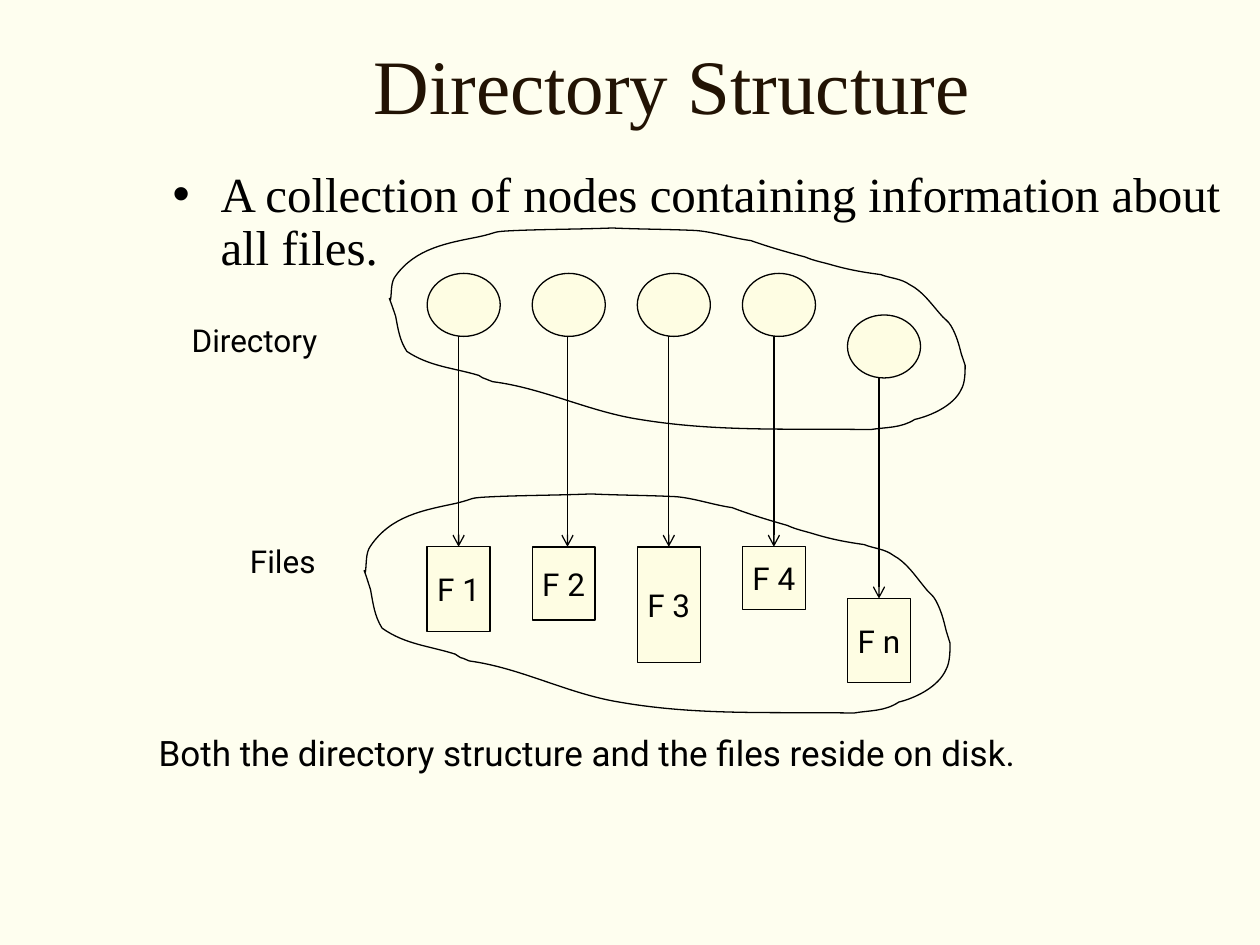
from lxml.etree import SubElement
from pptx import Presentation
from pptx.dml.color import RGBColor
from pptx.enum.shapes import MSO_CONNECTOR, MSO_SHAPE
from pptx.enum.text import MSO_ANCHOR, MSO_AUTO_SIZE, PP_ALIGN
from pptx.oxml.ns import qn
from pptx.util import Inches, Pt

# Content
COLORS = {"background": "FEFEEF", "title": "221304", "ink": "000000", "node": "FEFDE3"}
SERIF, SANS = "Times New Roman", "Roboto"
TITLE = "Directory Structure"
BULLET = "A collection of nodes containing information about all files."
# File name, drop of the column, height of the file, arrow offset
FILES = [
    ("F 1", 0, 0.67, 0.25),
    ("F 2", 0, 0.58, 0.28),
    ("F 3", 0, 0.92, 0.25),
    ("F 4", 0, 0.5, 0.25),
    ("F n", 1, 0.67, 0.25),
]
FIRST_COLUMN, COLUMN_STEP = 3.39, 0.834
NODE_TOP, NODE_WIDTH, NODE_HEIGHT, NODE_DROP = 2.17, 0.58, 0.5, 0.33
FILE_TOP, FILE_WIDTH, FILE_DROP = 4.34, 0.5, 0.41
# Text, box, size, centred
LABELS = [
    ("Directory", (1.42, 2.5, 1.2, 0.4), 18, True),
    ("Files", (1.88, 4.25, 0.73, 0.4), 18, True),
    ("Both the directory structure and the files reside on disk.",
     (1.16, 5.76, 7.69, 0.42), 20, False),
]
# Cloud outline: a start, then two control points and an end for each curve
CLOUD_BOX = (3.09, 1.81, 4.58, 1.61)
CLOUD_BOXES = [CLOUD_BOX, (2.89, 3.92, 4.66, 1.75)]
CLOUD_START = (3.1, 2.38)
CLOUD_CURVES = [
    (3.11, 2.32, 3.1, 2.24, 3.14, 2.19), (3.3, 1.97, 3.55, 1.93, 3.8, 1.88),
    (3.98, 1.84, 3.88, 1.84, 4.1, 1.83), (4.35, 1.82, 4.6, 1.82, 4.86, 1.81),
    (5.08, 1.82, 5.3, 1.82, 5.52, 1.83), (5.66, 1.84, 5.81, 1.89, 5.96, 1.91),
    (6.1, 1.96, 6.24, 2, 6.39, 2.04), (6.46, 2.07, 6.52, 2.08, 6.59, 2.1),
    (6.73, 2.14, 6.84, 2.16, 6.99, 2.18), (7.07, 2.21, 7.15, 2.21, 7.22, 2.26),
    (7.32, 2.31, 7.39, 2.41, 7.46, 2.49), (7.49, 2.53, 7.53, 2.55, 7.55, 2.59),
    (7.59, 2.66, 7.61, 2.73, 7.63, 2.81), (7.64, 2.84, 7.66, 2.9, 7.66, 2.9),
    (7.66, 2.95, 7.66, 3.04, 7.63, 3.09), (7.57, 3.22, 7.39, 3.3, 7.26, 3.33),
    (7.15, 3.4, 7.03, 3.39, 6.91, 3.41), (6.27, 3.4, 5.69, 3.43, 5.08, 3.33),
    (4.68, 3.27, 4.31, 3.08, 3.91, 3.03), (3.89, 3.02, 3.88, 3.02, 3.86, 3.01),
    (3.84, 3.01, 3.82, 2.99, 3.8, 2.98), (3.6, 2.92, 3.41, 2.91, 3.23, 2.79),
    (3.17, 2.7, 3.16, 2.61, 3.14, 2.51), (3.14, 2.51, 3.1, 2.39, 3.09, 2.37),
    (3.09, 2.36, 3.1, 2.38, 3.1, 2.38),
]


def color(name):
    return RGBColor.from_string(COLORS[name])


def place(shape, box):
    shape.left, shape.top, shape.width, shape.height = map(Inches, box)


def write(shape, text, size, font, ink="ink", align=PP_ALIGN.CENTER):
    paragraph = shape.text_frame.paragraphs[0]
    paragraph.text = text
    paragraph.alignment = align
    run_font = paragraph.runs[0].font
    run_font.size, run_font.name = Pt(size), font
    run_font.color.rgb = color(ink)
    return paragraph


def outline(shape):
    shape.line.color.rgb = color("ink")
    shape.line.width = Pt(0.75)


def add_node(kind, box):
    shape = slide.shapes.add_shape(kind, *map(Inches, box))
    shape.shadow.inherit = False
    shape.fill.solid()
    shape.fill.fore_color.rgb = color("node")
    outline(shape)
    return shape


def add_arrow(x, top, bottom):
    arrow = slide.shapes.add_connector(
        MSO_CONNECTOR.STRAIGHT, Inches(x), Inches(top), Inches(x), Inches(bottom))
    outline(arrow)
    SubElement(arrow.line._get_or_add_ln(), qn("a:tailEnd"), type="arrow")
    SubElement(arrow._element.spPr, qn("a:effectLst"))


def add_cloud(box):
    left, top, width, height = CLOUD_BOX

    def scaled(x, y):
        return (Inches(box[0] + (x - left) * box[2] / width),
                Inches(box[1] + (y - top) * box[3] / height))

    builder = slide.shapes.build_freeform(*scaled(*CLOUD_START))
    builder.add_line_segments([scaled(*curve[4:]) for curve in CLOUD_CURVES], close=True)
    cloud = builder.convert_to_shape()
    # Each segment becomes a cubic curve
    segments = list(cloud._element.iter(qn("a:lnTo")))
    for segment, curve in zip(segments, CLOUD_CURVES):
        segment.tag = qn("a:cubicBezTo")
        end = segment[0]
        for control in (curve[:2], curve[2:4]):
            x, y = scaled(*control)
            point = SubElement(segment, qn("a:pt"),
                               x=str(x - cloud.left), y=str(y - cloud.top))
            end.addprevious(point)
    cloud.shadow.inherit = False
    cloud.fill.background()
    outline(cloud)


# Slide
presentation = Presentation()
presentation.slide_width, presentation.slide_height = Inches(10), Inches(7.5)
slide = presentation.slides.add_slide(presentation.slide_layouts[1])
slide.background.fill.solid()
slide.background.fill.fore_color.rgb = color("background")

# Title and bullet
title, body = slide.placeholders
place(title, (1.17, 0.42, 8.33, 0.49))
place(body, (1.27, 1.3, 8.73, 0.43))
for placeholder in (title, body):
    placeholder.text_frame.auto_size = MSO_AUTO_SIZE.NONE
title.text_frame.vertical_anchor = MSO_ANCHOR.MIDDLE
write(title, TITLE, 44, SERIF, "title")
bullet = write(body, BULLET, 28, SERIF, align=PP_ALIGN.LEFT)
bullet.line_spacing = 0.9
properties = bullet._p.get_or_add_pPr()
properties.set("marL", str(Inches(0.38)))
properties.set("indent", str(Inches(-0.38)))
SubElement(properties, qn("a:buChar"), char="•")

# Directory nodes, files and arrows
for column, (name, drop, height, arrow_offset) in enumerate(FILES):
    left = FIRST_COLUMN + column * COLUMN_STEP
    node_top = NODE_TOP + drop * NODE_DROP
    file_top = FILE_TOP + drop * FILE_DROP
    add_node(MSO_SHAPE.OVAL, (left, node_top, NODE_WIDTH, NODE_HEIGHT))
    file_box = add_node(MSO_SHAPE.RECTANGLE, (left, file_top, FILE_WIDTH, height))
    file_box.text_frame.word_wrap = False
    file_box.text_frame.vertical_anchor = MSO_ANCHOR.MIDDLE
    write(file_box, name, 18, SANS)
    add_arrow(left + arrow_offset, node_top + NODE_HEIGHT, file_top)

# Clouds
for cloud_box in CLOUD_BOXES:
    add_cloud(cloud_box)

# Labels
for text, box, size, centred in LABELS:
    label = slide.shapes.add_textbox(*map(Inches, box))
    label.text_frame.word_wrap = not centred
    if centred:
        label.text_frame.vertical_anchor = MSO_ANCHOR.MIDDLE
    write(label, text, size, SANS, align=PP_ALIGN.CENTER if centred else PP_ALIGN.LEFT)

presentation.save("out.pptx")
